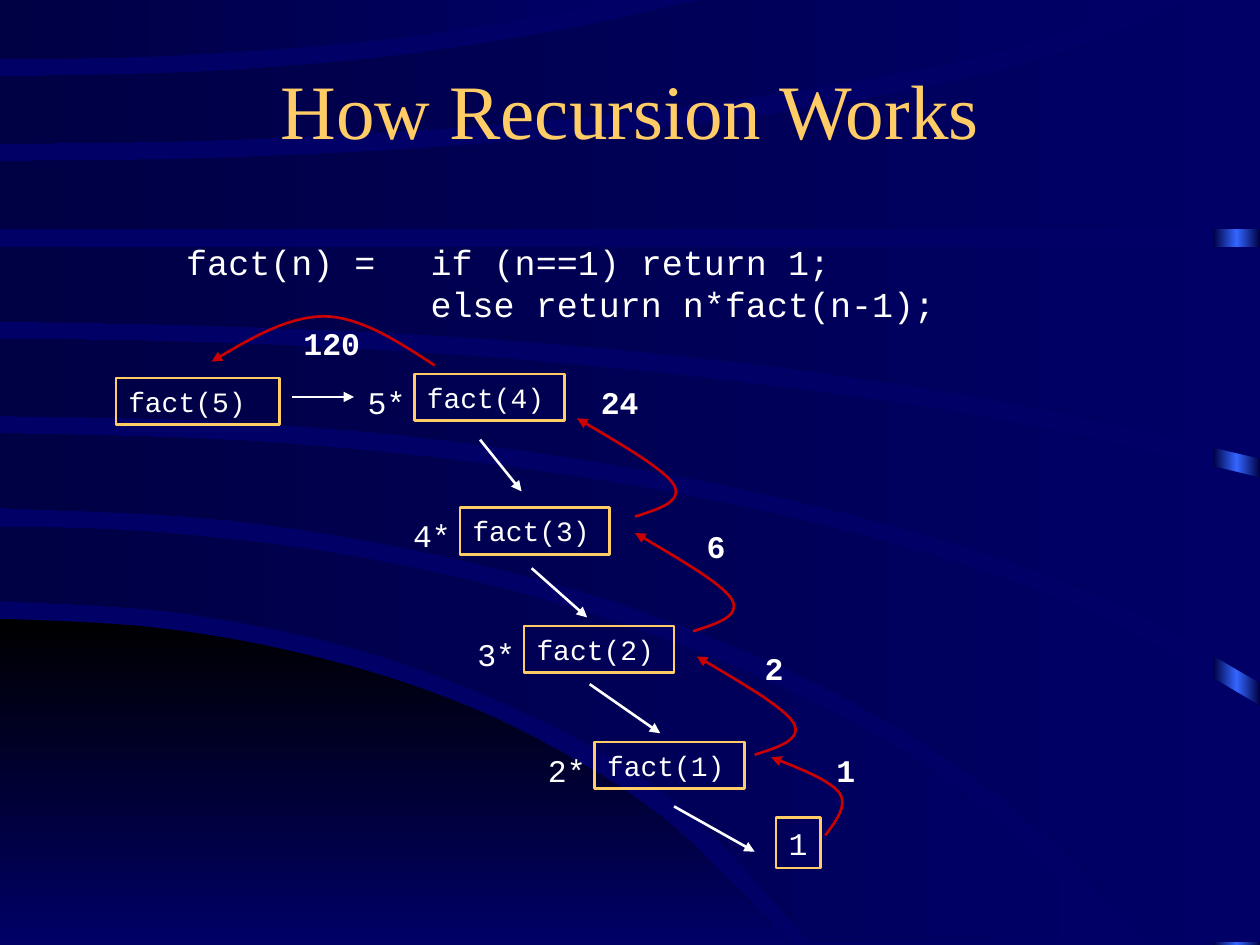
from copy import deepcopy
from pptx import Presentation
from pptx.dml.color import RGBColor
from pptx.enum.shapes import MSO_CONNECTOR, MSO_SHAPE
from pptx.enum.text import MSO_ANCHOR, PP_ALIGN
from pptx.oxml.ns import qn
from pptx.util import Cm, Pt
from lxml.etree import SubElement

GOLD, WHITE, RED, NAVY, DARK = "FFCC66", "FFFFFF", "CC0000", "000066", "000044"
CODE = "Courier New"

# Content: all positions in grid units of 2.54 cm
TITLE = "How Recursion Works"
DEFINITION = ["fact(n) =\tif (n==1) return 1;", "\telse return n*fact(n-1);"]
DEFINITION_TAB = 1.94

# call, left, top, width, factor to its left
CALLS = [
    ("fact(5)", 0.92, 3.0, 1.3, None),
    ("fact(4)", 3.29, 2.97, 1.19, "5*"),
    ("fact(3)", 3.65, 4.03, 1.19, "4*"),
    ("fact(2)", 4.16, 4.97, 1.19, "3*"),
    ("fact(1)", 4.72, 5.89, 1.19, "2*"),
]
BASE_CASE = ("1", 6.16, 6.49)
CALL_ARROWS = [
    ((2.32, 3.15), (2.81, 3.15)),
    ((3.81, 3.49), (4.14, 3.9)),
    ((4.22, 4.51), (4.66, 4.9)),
    ((4.68, 5.43), (5.24, 5.82)),
    ((5.35, 6.4), (5.99, 6.76)),
]

# Return curves: Bezier points relative to the start
BASE_CURVE = [(0, 0), (0.09, -0.12), (0.18, -0.24), (0.11, -0.34),
              (0.03, -0.44), (-0.2, -0.53), (-0.43, -0.62)]
STEP_CURVE = [(0, 0), (0.19, -0.06), (0.38, -0.12), (0.31, -0.25),
              (0.23, -0.38), (-0.12, -0.58), (-0.46, -0.78)]
LAST_CURVE = [(0, 0), (-0.29, -0.19), (-0.58, -0.38), (-0.87, -0.39),
              (-1.17, -0.39), (-1.47, -0.21), (-1.77, -0.03)]
# value, its left and top, start of the curve, curve
RETURNS = [
    ("1", 6.54, 5.91, (6.55, 6.63), BASE_CURVE),
    ("2", 5.97, 5.1, (5.99, 5.99), STEP_CURVE),
    ("6", 5.51, 4.13, (5.5, 5.01), STEP_CURVE),
    ("24", 4.67, 2.99, (5.04, 4.1), STEP_CURVE),
    ("120", 2.31, 2.52, (3.45, 2.9), LAST_CURVE),
]

# Background: each area is a ring of smooth edges, given by knots
HORIZON = [[(0, 4.91), (1.12, 4.97), (2.18, 5.14), (3.27, 5.44), (4.25, 5.86),
            (5.28, 6.51), (6.28, 7.5)], [(0, 7.5)]]
BANDS = [
    [[(0, 4.18), (1.3, 4.23), (2.94, 4.44), (4.72, 4.88), (6.44, 5.57),
      (7.66, 6.3), (8.93, 7.48)],
     [(6.42, 7.48), (5.53, 6.51), (4.54, 5.84), (3.06, 5.22), (1.48, 4.87), (0, 4.77)]],
    [[(0, 3.44), (1.95, 3.5), (3.84, 3.68), (5.7, 3.98), (7.38, 4.4),
      (8.73, 4.89), (10, 5.6)], [(10, 7.48)],
     [(9.09, 7.48), (8.1, 6.46), (6.78, 5.58), (5.21, 4.89), (3.6, 4.43),
      (1.83, 4.13), (0, 4.03)]],
    [[(0, 2.69), (1.68, 2.72), (3.49, 2.81), (5.23, 2.96), (7.14, 3.2),
      (8.59, 3.46), (10, 3.79)],
     [(10, 5.42), (8.81, 4.77), (7.43, 4.27), (5.6, 3.82), (3.51, 3.49),
      (1.67, 3.34), (0, 3.3)]],
    [[(0, 1.96), (10, 1.96)],
     [(10, 3.64), (8.13, 3.22), (6.07, 2.9), (3.89, 2.69), (1.86, 2.59), (0, 2.55)]],
    [[(0, 1.82), (10, 1.82)], [(10, 0)],
     [(9.43, 0), (8.35, 0.44), (6.84, 0.79), (5.08, 1.03), (3.29, 1.18),
      (1.57, 1.26), (0, 1.28)]],
    [[(0, 1.14), (1.77, 1.11), (3.81, 1), (5.77, 0.8), (7.41, 0.53),
      (8.54, 0.23), (9.17, 0)],
     [(5.56, 0), (4.45, 0.24), (3.08, 0.45), (1.6, 0.57), (0, 0.61)]],
    [[(0, 0.47), (1.37, 0.44), (2.89, 0.33), (3.99, 0.18), (5.01, 0)], [(0, 0)]],
]


def grid(value):
    return Cm(value * 2.54)


def colour(code):
    return RGBColor.from_string(code)


def bezier(points, steps=12):
    """Sample a chain of cubic Bezier pieces."""
    sampled = [points[0]]
    for i in range(0, len(points) - 1, 3):
        for t in (k / steps for k in range(1, steps + 1)):
            weights = ((1 - t) ** 3, 3 * t * (1 - t) ** 2, 3 * t * t * (1 - t), t ** 3)
            sampled.append(tuple(sum(w * p[axis] for w, p in zip(weights, points[i:i + 4]))
                                 for axis in (0, 1)))
    return sampled


def smooth(knots):
    """Pass a Catmull-Rom spline through the knots."""
    ends = [knots[0], *knots, knots[-1]]
    chain = [knots[0]]
    for a, b, c, d in zip(ends, ends[1:], ends[2:], ends[3:]):
        chain += [tuple(b[i] + (c[i] - a[i]) / 6 for i in (0, 1)),
                  tuple(c[i] - (d[i] - b[i]) / 6 for i in (0, 1)), c]
    return bezier(chain, 6)


def outline(points, close):
    points = [(grid(x), grid(y)) for x, y in points]
    builder = slide.shapes.build_freeform(*points[0])
    builder.add_line_segments(points[1:], close=close)
    shape = builder.convert_to_shape()
    shape.shadow.inherit = False
    return shape


def gradient(shape, codes, angle):
    shape.fill.gradient()
    shape.fill.gradient_angle = angle
    stop_list = shape._element.spPr.find(".//" + qn("a:gsLst"))
    while len(stop_list) < len(codes):
        stop_list.append(deepcopy(stop_list[-1]))
    for i, (stop, code) in enumerate(zip(shape.fill.gradient_stops, codes)):
        stop.position = i / (len(codes) - 1)
        stop.color.rgb = colour(code)
    shape.line.fill.background()


def stroke(shape, code, arrow=False):
    shape.line.color.rgb = colour(code)
    shape.line.width = Pt(1.5)
    if arrow:
        SubElement(shape.line._get_or_add_ln(), qn("a:tailEnd"), type="triangle")


def write(shape, lines, size, bold=False, font=CODE, code=WHITE,
          align=PP_ALIGN.LEFT, anchor=MSO_ANCHOR.TOP, wrap=True):
    frame = shape.text_frame
    frame.text = "\n".join(lines)
    frame.word_wrap = wrap
    frame.vertical_anchor = anchor
    for paragraph in frame.paragraphs:
        paragraph.alignment = align
        paragraph.font.name, paragraph.font.size = font, Pt(size)
        paragraph.font.bold = bold
        paragraph.font.color.rgb = colour(code)


def label(text, left, top, bold=False):
    width = 0.2 + 0.15 * len(text)
    box = slide.shapes.add_textbox(*map(grid, (left, top, width, 0.4)))
    write(box, [text], 18, bold, wrap=False)


def frame_box(text, left, top, width, height, size):
    box = slide.shapes.add_shape(MSO_SHAPE.RECTANGLE, *map(grid, (left, top, width, height)))
    box.shadow.inherit = False
    box.fill.background()
    stroke(box, GOLD)
    write(box, [text], size, wrap=size == 16)


prs = Presentation()
prs.slide_width, prs.slide_height = grid(10), grid(7.5)
slide = prs.slides.add_slide(prs.slide_layouts[5])

# Background
slide.background.fill.solid()
slide.background.fill.fore_color.rgb = colour(NAVY)
strip = slide.shapes.add_shape(MSO_SHAPE.RECTANGLE, *map(grid, (9.63, 0, 0.37, 7.5)))
strip.shadow.inherit = False
gradient(strip, [DARK, "3366FF", DARK], 180)
for area in [HORIZON, *BANDS]:
    ring = [point for edge in area for point in smooth(edge)]
    if area is HORIZON:
        gradient(outline(ring, True), ["000000", NAVY], 270)
    else:
        gradient(outline(ring, True), [NAVY, DARK], 180)

# Title, brought in front of the background
title = slide.shapes.title
title.left, title.top, title.width, title.height = map(grid, (0.75, 0.42, 8.5, 0.89))
write(title, [TITLE], 44, font="Times New Roman", code=GOLD,
      align=PP_ALIGN.CENTER, anchor=MSO_ANCHOR.MIDDLE)
slide.shapes._spTree.append(title._element)

# Definition
definition = slide.shapes.add_textbox(*map(grid, (1.38, 1.86, 6.53, 0.77)))
write(definition, DEFINITION, 20)
for paragraph in definition.text_frame.paragraphs:
    tabs = paragraph._p.get_or_add_pPr()
    tab_list = tabs.makeelement(qn("a:tabLst"))
    SubElement(tab_list, qn("a:tab"), pos=str(grid(DEFINITION_TAB)), algn="l")
    tabs.insert_element_before(tab_list, "a:defRPr", "a:extLst")

# Calls
for call, left, top, width, factor in CALLS:
    frame_box(call, left, top, width, 0.37, 16)
    if factor:
        label(factor, left - 0.47, top + 0.02)
frame_box(*BASE_CASE, 0.35, 0.4, 18)
for start, end in CALL_ARROWS:
    arrow = slide.shapes.add_connector(MSO_CONNECTOR.STRAIGHT, *map(grid, start + end))
    stroke(arrow, WHITE, arrow=True)
    SubElement(arrow._element.spPr, qn("a:effectLst"))

# Returned values
for value, left, top, (x, y), curve in RETURNS:
    path = outline(bezier([(x + dx, y + dy) for dx, dy in curve]), False)
    path.fill.background()
    stroke(path, RED, arrow=True)
    label(value, left, top, bold=True)

prs.save("out.pptx")
